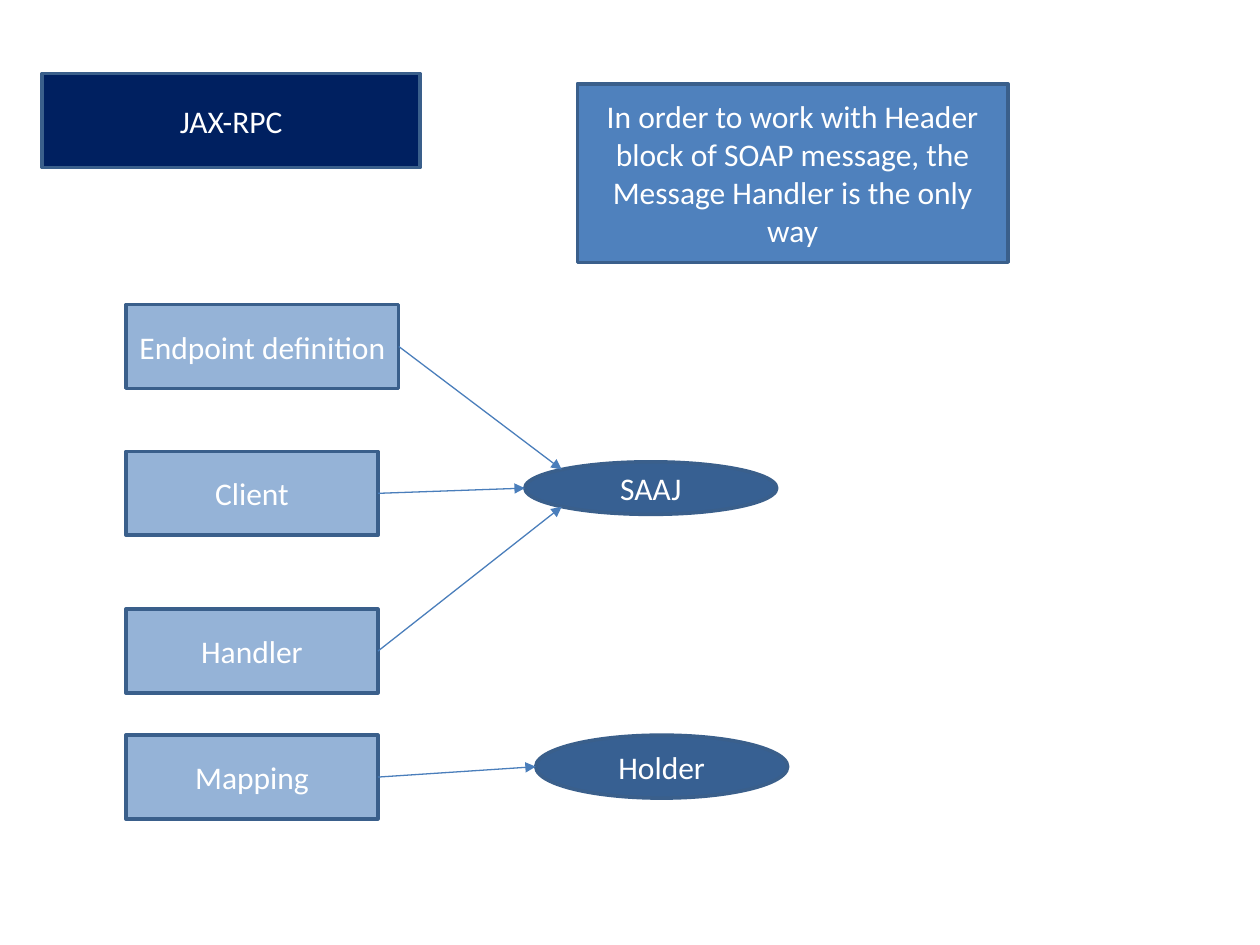
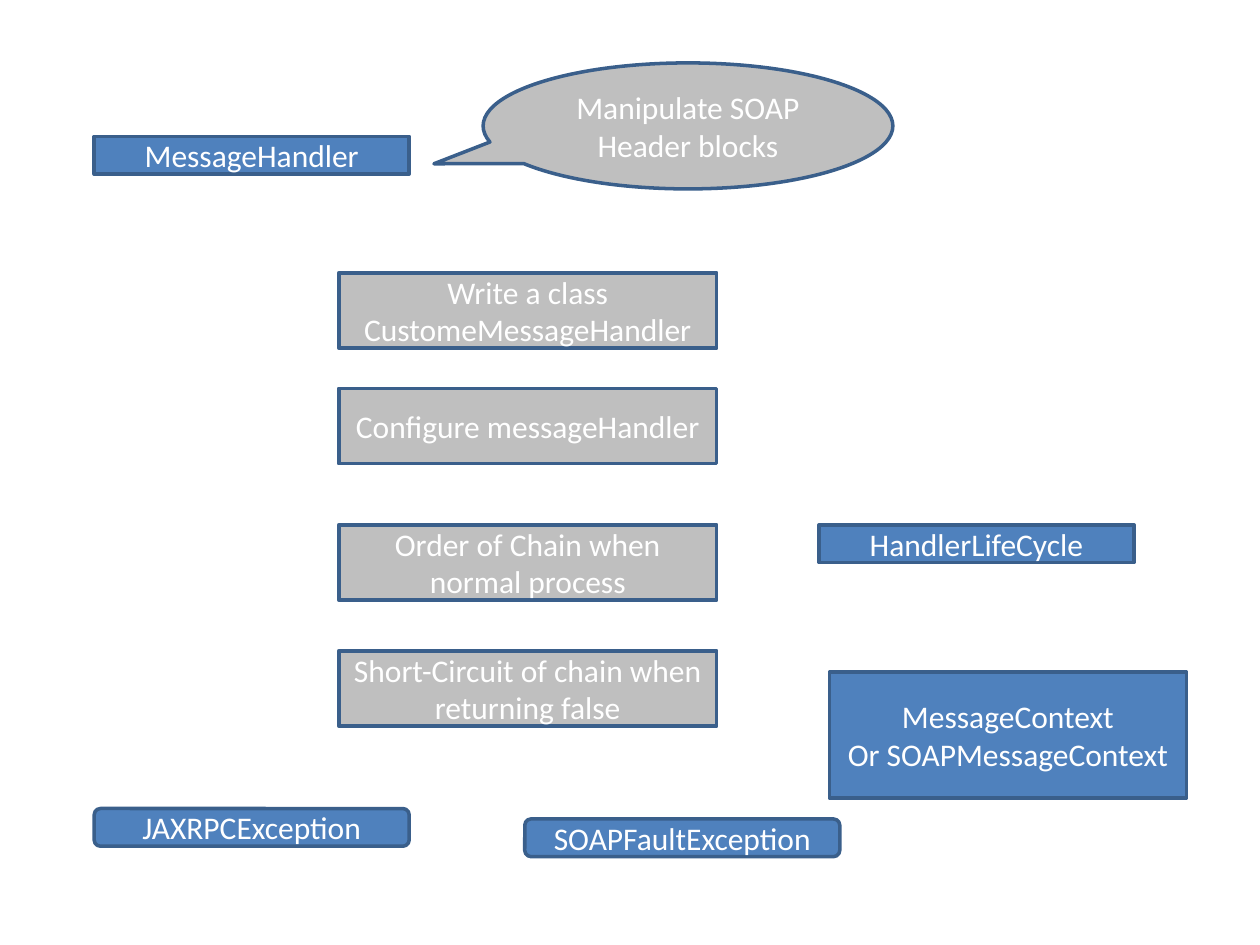
from math import cos, radians, sin

from lxml.etree import SubElement
from pptx import Presentation
from pptx.dml.color import RGBColor
from pptx.enum.shapes import MSO_CONNECTOR as Connector, MSO_SHAPE as Shape
from pptx.enum.text import MSO_ANCHOR as Anchor, MSO_AUTO_SIZE as AutoSize, PP_ALIGN as Align
from pptx.oxml.ns import qn
from pptx.util import Cm, Pt

NAVY, BLUE, LIGHT_BLUE, DARK_BLUE, GREY = "002060", "4F81BD", "95B3D7", "376092", "BFBFBF"
OUTLINE, ARROW, WHITE = "3A5F8B", "4A7EBB", "FFFFFF"
FONT_FORMAT = {"name": "Calibri", "size": Pt(18), "bold": False}
FRAME_FORMAT = {"word_wrap": True, "auto_size": AutoSize.NONE, "vertical_anchor": Anchor.MIDDLE}
RECT_RIGHT = 3  # connection site on the right edge of a rectangle

# Places are (left, top, width, height) in centimetres.
RPC_TITLE = ("JAX-RPC", (0.85, 1.48, 7.62, 1.9), NAVY)
HEADER_NOTE = (
    "In order to work with Header block of SOAP message, the Message Handler is the only way",
    (11.64, 1.69, 8.68, 3.6), BLUE)
PART_LEFT, PART_HEIGHT = 2.54, 1.69
PARTS = [  # text, top, width
    ("Endpoint definition", 6.14, 5.5),
    ("Client", 9.1, 5.08),
    ("Handler", 12.28, 5.08),
    ("Mapping", 14.82, 5.08),
]
TARGETS = [
    ("SAAJ", (10.58, 9.31, 5.08, 1.06), DARK_BLUE),
    ("Holder", (10.8, 14.82, 5.08, 1.27), DARK_BLUE),
]
LINKS = [  # part, target, connection site on the ellipse
    ("Endpoint definition", "SAAJ", 1),
    ("Client", "SAAJ", 2),
    ("Handler", "SAAJ", 3),
    ("Mapping", "Holder", 2),
]

LABEL_SIZE = (6.35, 0.76)
HANDLER_TITLE = ("MessageHandler", (1.9, 2.75, *LABEL_SIZE), BLUE)
PURPOSE = ("Manipulate SOAP Header blocks", (9.74, 1.27, 8.26, 2.54), GREY)
PURPOSE_POINTER = (-0.62, 0.3)
STEP_LEFT, STEP_SIZE = 6.83, (7.62, 1.52)
STEPS = [  # text, top
    ("Write a class CustomeMessageHandler", 5.5),
    ("Configure messageHandler", 7.83),
    ("Order of Chain when normal process", 10.58),
    ("Short-Circuit of chain when returning false", 13.12),
]
EXCEPTIONS = [
    ("JAXRPCException", (1.9, 16.3, *LABEL_SIZE), BLUE),
    ("SOAPFaultException", (10.58, 16.51, *LABEL_SIZE), BLUE),
]
INTERFACES = [
    ("HandlerLifeCycle", (16.51, 10.58, *LABEL_SIZE), BLUE),
    ("MessageContext\nOr SOAPMessageContext", (16.72, 13.55, 7.2, 2.54), BLUE),
]


def color(hex_code):
    return RGBColor.from_string(hex_code)


def apply_format(item, values):
    for name, value in values.items():
        setattr(item, name, value)


def style_box(box, text, fill):
    box.fill.solid()
    box.fill.fore_color.rgb = color(fill)
    box.line.color.rgb = color(OUTLINE)
    box.line.width = Pt(2)
    frame = box.text_frame
    frame.text = text
    apply_format(frame, FRAME_FORMAT)
    for para in frame.paragraphs:
        para.alignment = Align.CENTER
        apply_format(para.font, FONT_FORMAT)
        para.font.color.rgb = color(WHITE)


def add_titled_slide(deck, text, place, fill):
    page = deck.slides.add_slide(deck.slide_layouts.get_by_name("Title Only"))
    title = page.shapes.title
    apply_format(title, dict(zip(("left", "top", "width", "height"), map(Cm, place))))
    style_box(title, text, fill)
    return page


def add_box(page, text, place, fill, kind=Shape.RECTANGLE):
    box = page.shapes.add_shape(kind, *map(Cm, place))
    box.shadow.inherit = False
    style_box(box, text, fill)
    return box


def add_arrow(page, part, target, site):
    """Join a rectangle's right edge to an ellipse site, counted in 45° steps from the top."""
    arrow = page.shapes.add_connector(Connector.STRAIGHT, 0, 0, 0, 0)
    arrow.begin_connect(part, RECT_RIGHT)
    arrow.end_connect(target, site)
    angle = radians(45 * site)
    arrow.end_x = target.left + round(target.width / 2 * (1 - sin(angle)))
    arrow.end_y = target.top + round(target.height / 2 * (1 - cos(angle)))
    arrow.line.color.rgb = color(ARROW)
    arrow.line.width = Pt(0.75)
    SubElement(arrow.line._get_or_add_ln(), qn("a:tailEnd"), type="triangle")
    SubElement(arrow._element.spPr, qn("a:effectLst"))


def build_rpc_slide(deck):
    page = add_titled_slide(deck, *RPC_TITLE)
    add_box(page, *HEADER_NOTE)
    boxes = {}
    for text, top, width in PARTS:
        boxes[text] = add_box(page, text, (PART_LEFT, top, width, PART_HEIGHT), LIGHT_BLUE)
    for target in TARGETS:
        boxes[target[0]] = add_box(page, *target, Shape.OVAL)
    for part, target, site in LINKS:
        add_arrow(page, boxes[part], boxes[target], site)


def build_handler_slide(deck):
    page = add_titled_slide(deck, *HANDLER_TITLE)
    callout = add_box(page, *PURPOSE, Shape.OVAL_CALLOUT)
    for index, value in enumerate(PURPOSE_POINTER):
        callout.adjustments[index] = value
    for text, top in STEPS:
        add_box(page, text, (STEP_LEFT, top, *STEP_SIZE), GREY)
    for exception in EXCEPTIONS:
        add_box(page, *exception, Shape.ROUNDED_RECTANGLE)
    for interface in INTERFACES:
        add_box(page, *interface)


def main():
    deck = Presentation()
    deck.slide_width, deck.slide_height = Cm(25.4), Cm(19.05)
    build_rpc_slide(deck)
    build_handler_slide(deck)
    deck.save("out.pptx")


if __name__ == "__main__":
    main()
